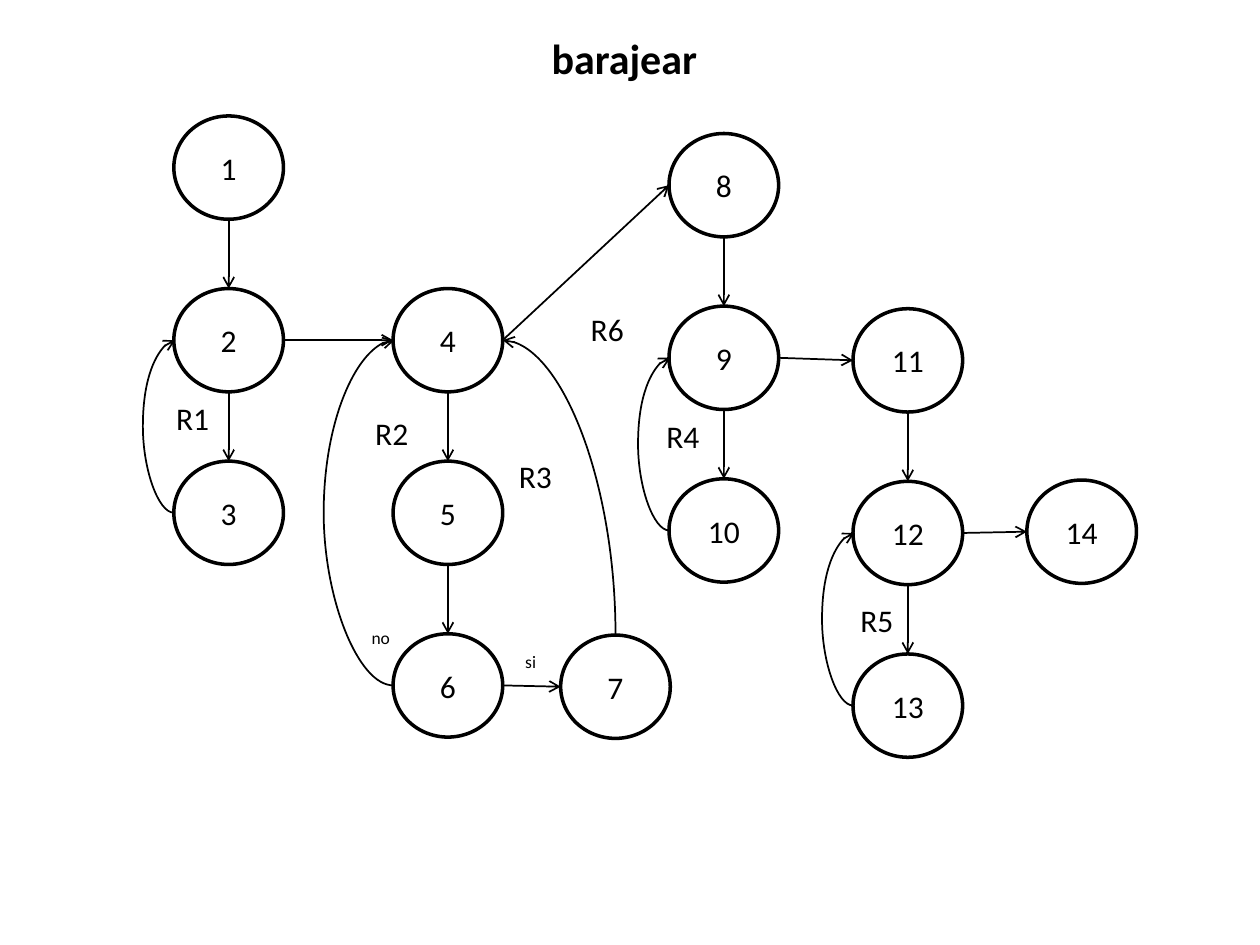
from itertools import pairwise

from pptx import Presentation
from pptx.dml.color import RGBColor
from pptx.enum.shapes import MSO_CONNECTOR as LINK, MSO_SHAPE as SHAPE
from pptx.enum.text import MSO_ANCHOR as ANCHOR, PP_ALIGN as ALIGN
from pptx.oxml.ns import qn
from pptx.oxml.xmlchemy import OxmlElement
from pptx.util import Inches, Pt

INK = "000000"
NODE_W, NODE_H, PITCH = 0.87, 0.82, 1.37
COLUMNS = [
    (1.38, 0.92, [1, 2, 3]),
    (3.12, 2.29, [4, 5, 6]),
    (4.45, 5.04, [7]),
    (5.31, 1.06, [8, 9, 10]),
    (6.77, 2.45, [11, 12, 13]),
    (8.15, 3.81, [14]),
]
FORWARD = [(2, 4), (6, 7), (4, 8), (9, 11), (12, 14)]
LOOPS = [(3, 2, 0.25), (6, 4, 0.56), (10, 9, 0.25), (13, 12, 0.25)]
REGIONS = {
    "R1": (1.3, 3.12),
    "R2": (2.88, 3.24),
    "R3": (4.02, 3.58),
    "R4": (5.19, 3.26),
    "R5": (6.73, 4.72),
    "R6": (4.59, 2.41),
}
BRANCHES = {"si": (4.07, 5.12, 0.29, 0.27), "no": (2.85, 4.93, 0.35, 0.27)}


def paint(color_format, value):
    """Give a colour format its hex colour."""
    color_format.rgb = RGBColor.from_string(value)


def write(frame, words, size, align, bold=False):
    """Put one line of formatted text in a frame."""
    paragraph = frame.paragraphs[0]
    paragraph.alignment = align
    run = paragraph.add_run()
    run.text = words
    for key, value in {"name": "Calibri", "size": Pt(size), "bold": bold}.items():
        setattr(run.font, key, value)
    paint(run.font.color, INK)


def add_label(slide, words, box, size=18, align=ALIGN.LEFT, bold=False, wrap=False):
    """Place a free label in its box."""
    label = slide.shapes.add_textbox(*map(Inches, box))
    label.text_frame.word_wrap = wrap
    write(label.text_frame, words, size, align, bold)


def add_node(slide, number, box):
    """Draw a numbered graph node in its box."""
    node = slide.shapes.add_shape(SHAPE.OVAL, *map(Inches, box))
    node.shadow.inherit = False
    node.fill.background()
    node.line.width = Pt(2)
    paint(node.line.color, INK)
    node.text_frame.vertical_anchor = ANCHOR.MIDDLE
    write(node.text_frame, str(number), 18, ALIGN.CENTER)


def add_arrow(slide, start, end, kind=LINK.STRAIGHT, tip="a:tailEnd"):
    """Draw a thin arrow between two points and return its properties."""
    arrow = slide.shapes.add_connector(kind, *map(Inches, (*start, *end)))
    arrow.line.width = Pt(1)
    paint(arrow.line.color, INK)
    properties = arrow.element.spPr
    arrowhead = OxmlElement(tip)
    arrowhead.set("type", "arrow")
    properties.find(qn("a:ln")).append(arrowhead)
    properties.append(OxmlElement("a:effectLst"))
    return properties


def add_loop(slide, start, end, bulge):
    """Draw a curved arrow that bulges to the left on its way back up."""
    span = 0.01
    properties = add_arrow(slide, start, (end[0] + span, end[1]), LINK.CURVE)
    guide = OxmlElement("a:gd")
    guide.set("name", "adj1")
    guide.set("fmla", f"val {round(-bulge / span * 100000)}")
    properties.find(qn("a:prstGeom")).get_or_add_avLst().append(guide)


def add_quarter_return(slide, start, end):
    """Draw a quarter curve from the top of one node to the side of another."""
    properties = add_arrow(slide, end, start, LINK.CURVE, "a:headEnd")
    properties.find(qn("a:prstGeom")).set("prst", "curvedConnector2")


def side(box, across, down):
    """Find a point of a box from its fractions across and down."""
    left, top, width, height = box
    return left + across * width, top + down * height


def add_column(slide, left, top, numbers):
    """Stack nodes joined by downward arrows and return their boxes."""
    boxes = {
        number: (left, top + row * PITCH, NODE_W, NODE_H)
        for row, number in enumerate(numbers)
    }
    for number, box in boxes.items():
        add_node(slide, number, box)
    for upper, lower in pairwise(boxes.values()):
        add_arrow(slide, side(upper, 0.5, 1), side(lower, 0.5, 0))
    return boxes


def add_flow_graph(slide):
    """Draw the node columns and the arrows that join them."""
    nodes = {}
    for column in COLUMNS:
        nodes.update(add_column(slide, *column))
    for source, target in FORWARD:
        add_arrow(slide, side(nodes[source], 1, 0.5), side(nodes[target], 0, 0.5))
    for source, target, bulge in LOOPS:
        add_loop(slide, side(nodes[source], 0, 0.5), side(nodes[target], 0, 0.5), bulge)
    add_quarter_return(slide, side(nodes[7], 0.5, 0), side(nodes[4], 1, 0.5))


def main():
    """Build the slide and save it."""
    deck = Presentation()
    deck.slide_width, deck.slide_height = Inches(10), Inches(7.5)
    slide = deck.slides.add_slide(deck.slide_layouts[6])
    add_flow_graph(slide)
    for words, corner in REGIONS.items():
        add_label(slide, words, (*corner, 0.47, 0.4))
    for words, box in BRANCHES.items():
        add_label(slide, words, box, size=10)
    add_label(slide, "barajear", (1.05, 0.21, 7.81, 0.5), 24, ALIGN.CENTER, True, True)
    deck.save("out.pptx")


if __name__ == "__main__":
    main()
